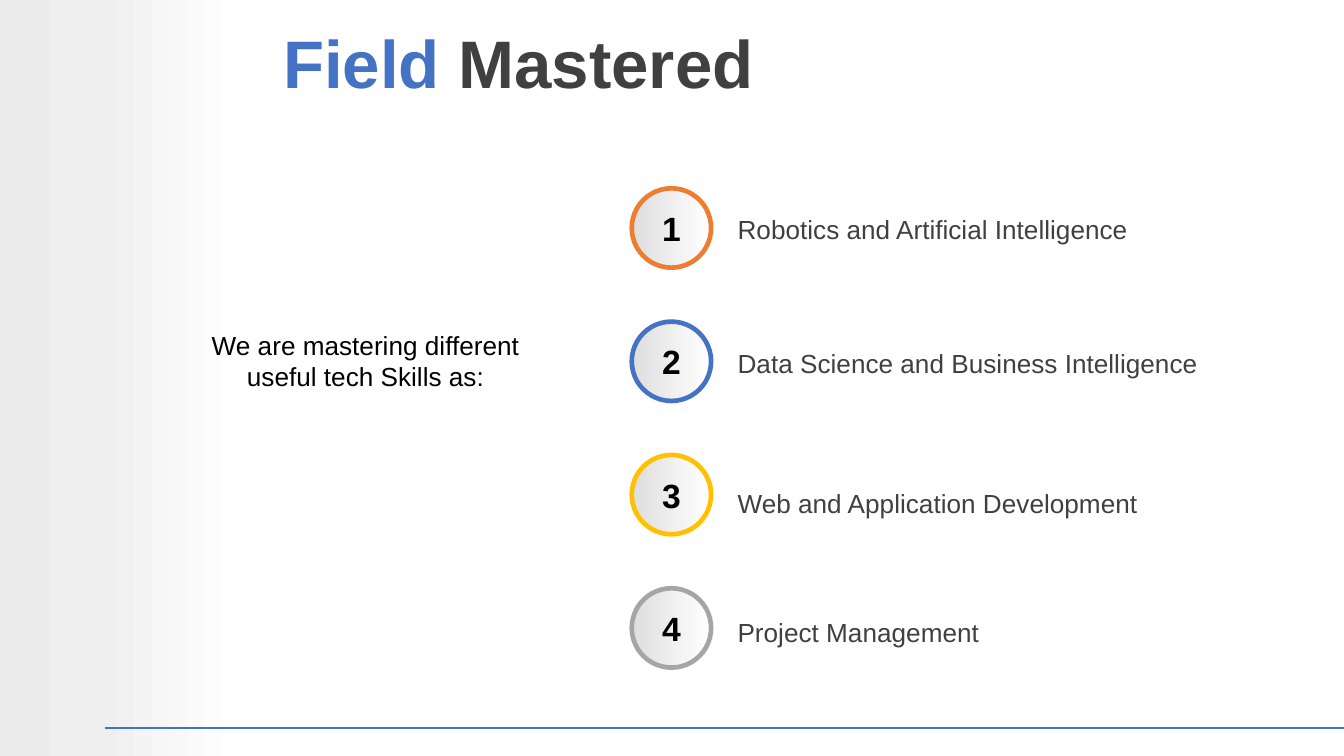
from copy import deepcopy

from pptx import Presentation
from pptx.dml.color import RGBColor
from pptx.enum.shapes import MSO_CONNECTOR, MSO_SHAPE
from pptx.enum.text import MSO_ANCHOR, PP_ALIGN
from pptx.oxml.ns import qn
from pptx.oxml.xmlchemy import OxmlElement
from pptx.util import Cm, Pt

RECT, OVAL = MSO_SHAPE.RECTANGLE, MSO_SHAPE.OVAL
LEFT, CENTER = PP_ALIGN.LEFT, PP_ALIGN.CENTER
TOP, MIDDLE = MSO_ANCHOR.TOP, MSO_ANCHOR.MIDDLE

# Content
TITLE = [("Field ", "blue"), ("Mastered", "dark")]
INTRO = "We are mastering different useful tech Skills as:"
FIELDS = [  # label, ring colour, label top in cm
    ("Robotics and Artificial Intelligence", "orange", 3.91),
    ("Data Science and Business Intelligence", "blue", 6.45),
    ("Web and Application Development", "yellow", 9.09),
    ("Project Management", "gray", 11.53),
]

COLORS = {
    "blue": "4472C4", "dark": "404040", "black": "000000",
    "orange": "ED7D31", "yellow": "FFC000", "gray": "A5A5A5",
}
BAND_STOPS = [(0, "EBEBEB"), (0.42, "EFEFEF"), (1, "FFFFFF")]
CIRCLE_STOPS = [(0, "DEDEDE"), (1, "FFFFFF")]

# Layout in cm
WIDTH, HEIGHT = 25.4, 14.29
CIRCLE_X, CIRCLE_Y, CIRCLE_SIZE, PITCH = 11.94, 3.56, 1.5, 2.52
LABEL_X, LABEL_W, LABEL_H = 13.69, 9.73, 0.86


def rgb(name):
    return RGBColor.from_string(COLORS[name])


def style(p, size, color="black", bold=False, align=LEFT):
    p.alignment = align
    p.font.name = "Arial"
    p.font.size = Pt(size)
    p.font.bold = bold
    p.font.color.rgb = rgb(color)


def add_text(x, y, w, h, text="", anchor=TOP, **look):
    tf = s.shapes.add_textbox(Cm(x), Cm(y), Cm(w), Cm(h)).text_frame
    tf.word_wrap = True
    tf.vertical_anchor = anchor
    p = tf.paragraphs[0]
    p.text = text
    style(p, **look)
    return tf


def add_gradient_shape(kind, x, y, w, h, stops):
    sp = s.shapes.add_shape(kind, Cm(x), Cm(y), Cm(w), Cm(h))
    sp.shadow.inherit = False
    sp.fill.gradient()
    sp.fill.gradient_angle = 0
    first = sp._element.spPr.find(".//" + qn("a:gs"))
    for _ in stops[2:]:  # a new gradient has two stops
        first.addnext(deepcopy(first))
    for stop, (position, color) in zip(sp.fill.gradient_stops, stops):
        stop.position = position
        stop.color.rgb = RGBColor.from_string(color)
    return sp


prs = Presentation()
prs.slide_width, prs.slide_height = Cm(WIDTH), Cm(HEIGHT)
s = prs.slides.add_slide(prs.slide_layouts[6])

# Side band and bottom rule
band = add_gradient_shape(RECT, 0, 0, 4.5, HEIGHT, BAND_STOPS)
band.line.fill.background()
rule = s.shapes.add_connector(
    MSO_CONNECTOR.STRAIGHT, Cm(1.98), Cm(13.76), Cm(WIDTH), Cm(13.76))
rule.line.color.rgb = rgb("blue")
rule.line.width = Pt(1)
rule._element.spPr.append(OxmlElement("a:effectLst"))

# Title
tf = add_text(4.39, 0.08, 21.01, 2.16, anchor=MIDDLE, size=36, bold=True)
tf.margin_left = Cm(0.96)
for text, color in TITLE:
    r = tf.paragraphs[0].add_run()
    r.text = text
    r.font.color.rgb = rgb(color)

# Introduction
add_text(3.71, 6.1, 6.4, 1.45, INTRO, size=14, align=CENTER)

# Numbered fields
for i, (label, color, label_y) in enumerate(FIELDS):
    circle = add_gradient_shape(OVAL, CIRCLE_X, CIRCLE_Y + i * PITCH,
                                CIRCLE_SIZE, CIRCLE_SIZE, CIRCLE_STOPS)
    circle.line.color.rgb = rgb(color)
    circle.line.width = Pt(2.5)
    tf = circle.text_frame
    tf.vertical_anchor = MIDDLE
    tf.margin_left = tf.margin_right = tf.margin_top = tf.margin_bottom = 0
    p = tf.paragraphs[0]
    p.text = str(i + 1)
    style(p, 18, bold=True, align=CENTER)
    add_text(LABEL_X, label_y, LABEL_W, LABEL_H, label, size=14, color="dark")

prs.save("out.pptx")
